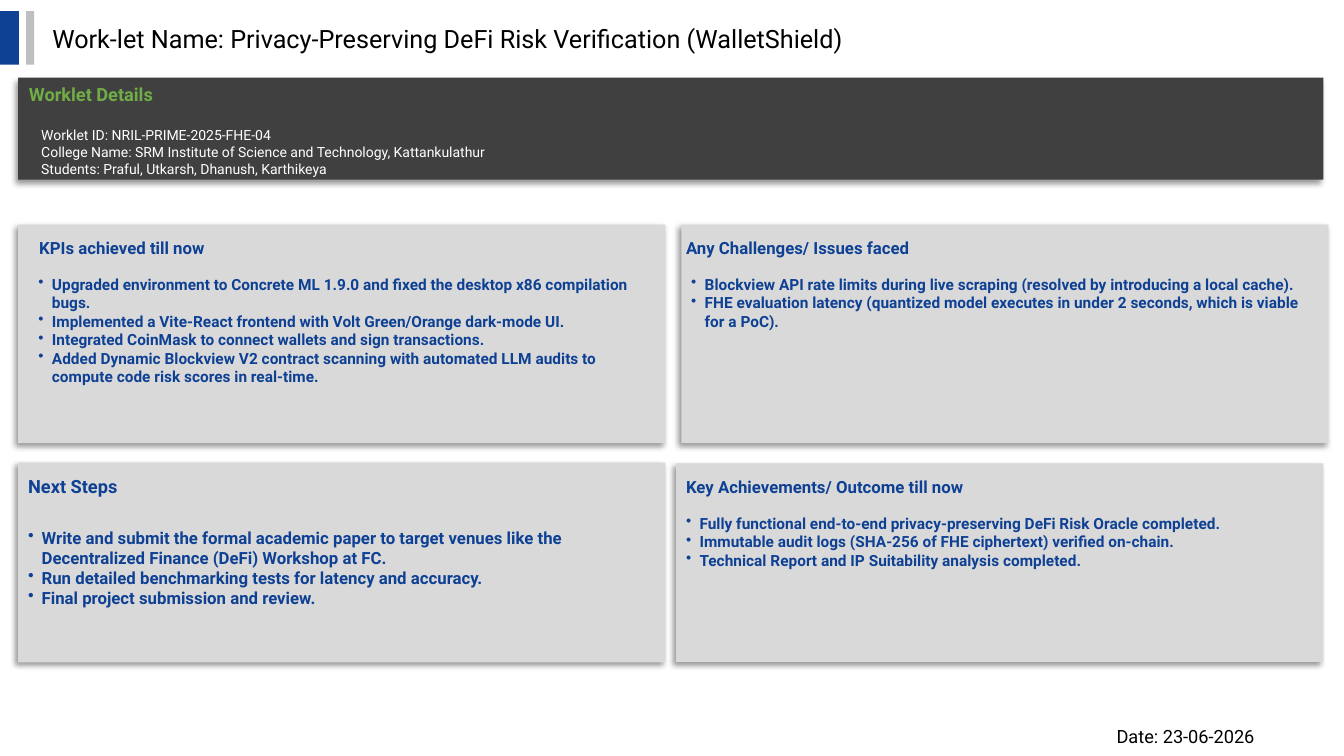
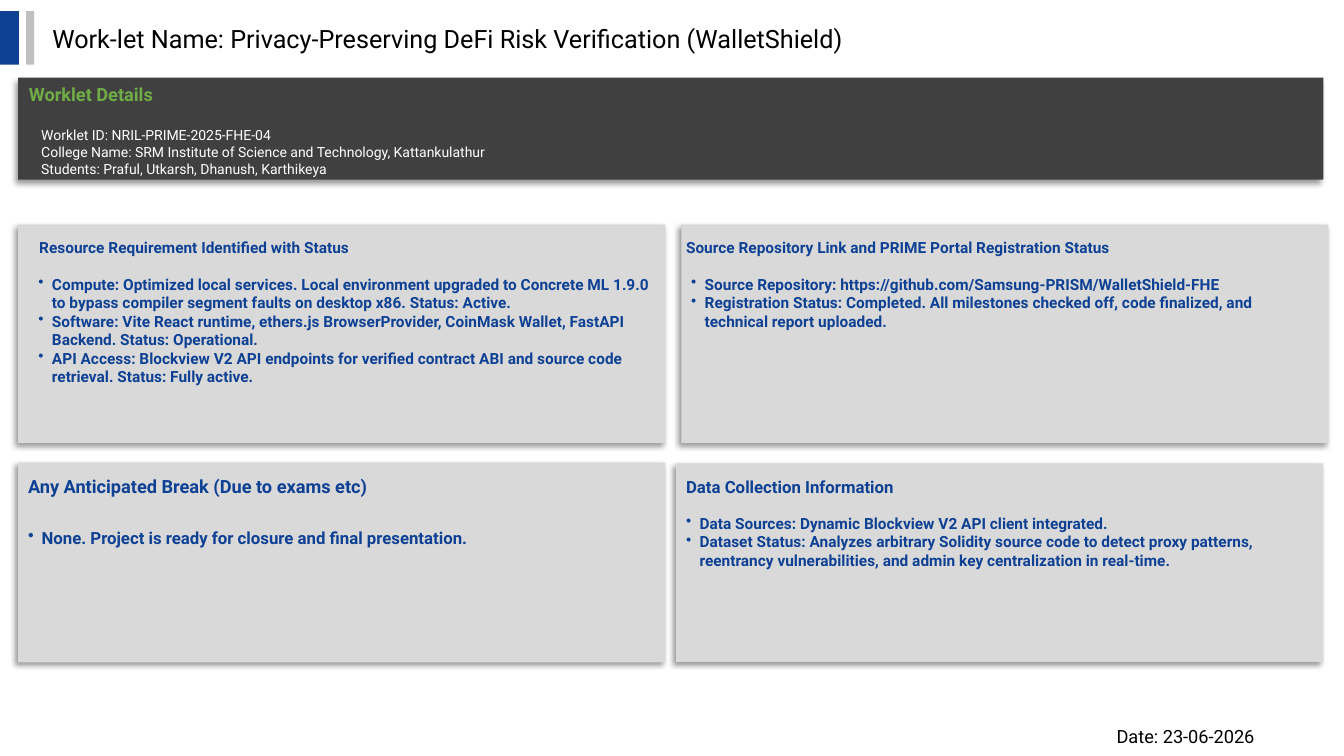
from typing import NamedTuple

from lxml.etree import SubElement
from pptx import Presentation
from pptx.dml.color import RGBColor
from pptx.enum.shapes import MSO_SHAPE
from pptx.enum.text import MSO_ANCHOR as Anchor
from pptx.oxml.ns import qn
from pptx.util import Cm, Pt

COLORS = {
    "blue": "0E4094",
    "silver": "BFBFBF",
    "charcoal": "404040",
    "card": "D9D9D9",
    "green": "70AD47",
    "white": "FFFFFF",
    "black": "000000",
}
FONT = "Roboto"
HANGING = Cm(0.34)

TITLE = "Work-let Name: Privacy-Preserving DeFi Risk Verification (WalletShield)"
DETAILS = (
    "Worklet ID: NRIL-PRIME-2025-FHE-04",
    "College Name: SRM Institute of Science and Technology, Kattankulathur",
    "Students: Praful, Utkarsh, Dhanush, Karthikeya",
)
DATE = "Date: 23-06-2026"


class Box(NamedTuple):
    left: float
    top: float
    width: float
    height: float


class Style(NamedTuple):
    size: float
    color: str
    bold: bool = False
    anchor: Anchor = Anchor.TOP
    bulleted: bool = False


class Slot(NamedTuple):
    card: Box
    heading: Box
    body_left: float = 0.25
    body_top: float = 1.27
    body_size: float = 11


class Topic(NamedTuple):
    heading: str
    size: float
    points: tuple[str, ...]


CARD_WIDTH = 16.31
HEADING_WIDTH = 15.9
HEADING_HEIGHT = 1.02
SLOTS = (
    Slot(Box(0.46, 5.66, CARD_WIDTH, 5.51),
         Box(0.74, 5.87, HEADING_WIDTH, HEADING_HEIGHT), body_left=0.51),
    Slot(Box(17.17, 5.66, CARD_WIDTH, 5.51),
         Box(17.04, 5.87, HEADING_WIDTH, HEADING_HEIGHT)),
    Slot(Box(0.46, 11.66, CARD_WIDTH, 5.03),
         Box(0.46, 11.84, HEADING_WIDTH, HEADING_HEIGHT), body_top=1.63, body_size=12),
    Slot(Box(17.04, 11.68, CARD_WIDTH, 5.0),
         Box(17.04, 11.89, HEADING_WIDTH, HEADING_HEIGHT)),
)

REPORTS = (
    (
        Topic("KPIs achieved till now", 12, (
            "Upgraded environment to Concrete ML 1.9.0 and fixed the desktop x86 compilation bugs.",
            "Implemented a Vite-React frontend with Volt Green/Orange dark-mode UI.",
            "Integrated CoinMask to connect wallets and sign transactions.",
            "Added Dynamic Blockview V2 contract scanning with automated LLM audits to "
            "compute code risk scores in real-time.",
        )),
        Topic("Any Challenges/ Issues faced", 12, (
            "Blockview API rate limits during live scraping (resolved by introducing a local cache).",
            "FHE evaluation latency (quantized model executes in under 2 seconds, "
            "which is viable for a PoC).",
        )),
        Topic("Next Steps", 13, (
            "Write and submit the formal academic paper to target venues like the "
            "Decentralized Finance (DeFi) Workshop at FC.",
            "Run detailed benchmarking tests for latency and accuracy.",
            "Final project submission and review.",
        )),
        Topic("Key Achievements/ Outcome till now", 12, (
            "Fully functional end-to-end privacy-preserving DeFi Risk Oracle completed.",
            "Immutable audit logs (SHA-256 of FHE ciphertext) verified on-chain.",
            "Technical Report and IP Suitability analysis completed.",
        )),
    ),
    (
        Topic("Resource Requirement Identified with Status", 11, (
            "Compute: Optimized local services. Local environment upgraded to Concrete ML 1.9.0 "
            "to bypass compiler segment faults on desktop x86. Status: Active.",
            "Software: Vite React runtime, ethers.js BrowserProvider, CoinMask Wallet, FastAPI "
            "Backend. Status: Operational.",
            "API Access: Blockview V2 API endpoints for verified contract ABI and source code "
            "retrieval. Status: Fully active.",
        )),
        Topic("Source Repository Link and PRIME Portal Registration Status", 11, (
            "Source Repository: https://github.com/Samsung-PRISM/WalletShield-FHE",
            "Registration Status: Completed. All milestones checked off, code finalized, and "
            "technical report uploaded.",
        )),
        Topic("Any Anticipated Break (Due to exams etc)", 13, (
            "None. Project is ready for closure and final presentation.",
        )),
        Topic("Data Collection Information", 12, (
            "Data Sources: Dynamic Blockview V2 API client integrated.",
            "Dataset Status: Analyzes arbitrary Solidity source code to detect proxy patterns, "
            "reentrancy vulnerabilities, and admin key centralization in real-time.",
        )),
    ),
)


def lengths(box: Box) -> list[Cm]:
    return [Cm(value) for value in box]


def add_shadow(panel) -> None:
    effects = panel.element.spPr.find(qn("a:effectLst"))
    outer = SubElement(effects, qn("a:outerShdw"), blurRad=str(Pt(4)), dist=str(Pt(3)),
                       dir=str(135 * 60000), algn="tr", rotWithShape="0")
    tint = SubElement(outer, qn("a:srgbClr"), val=COLORS["black"])
    SubElement(tint, qn("a:alpha"), val="40000")


def add_panel(slide, box: Box, color: str, raised: bool = False):
    panel = slide.shapes.add_shape(MSO_SHAPE.RECTANGLE, *lengths(box))
    panel.fill.solid()
    panel.fill.fore_color.rgb = RGBColor.from_string(COLORS[color])
    panel.line.fill.background()
    panel.shadow.inherit = False
    if raised:
        add_shadow(panel)
    return panel


def add_bullet(paragraph) -> None:
    properties = paragraph._p.get_or_add_pPr()
    properties.set("marL", str(HANGING))
    properties.set("indent", str(-HANGING))
    SubElement(properties, qn("a:buChar"), char="•")


def write(frame, lines: tuple[str, ...], style: Style) -> None:
    frame.word_wrap = True
    frame.vertical_anchor = style.anchor
    font_values = {"name": FONT, "size": Pt(style.size), "bold": style.bold}
    for index, line in enumerate(lines):
        paragraph = frame.add_paragraph() if index else frame.paragraphs[0]
        paragraph.alignment = 1
        if style.bulleted:
            add_bullet(paragraph)
        run = paragraph.add_run()
        run.text = line
        for attribute, value in font_values.items():
            setattr(run.font, attribute, value)
        run.font.color.rgb = RGBColor.from_string(COLORS[style.color])


def add_text(slide, box: Box, lines: tuple[str, ...], style: Style) -> None:
    write(slide.shapes.add_textbox(*lengths(box)).text_frame, lines, style)


def add_frame(slide) -> None:
    add_panel(slide, Box(0.46, 1.96, 32.89, 2.57), "charcoal", raised=True)
    add_panel(slide, Box(0, 0.28, 0.48, 1.35), "blue")
    add_panel(slide, Box(0.66, 0.28, 0.2, 1.35), "silver")
    add_text(slide, Box(1.07, 0.41, 27.84, 1.12), (TITLE,),
             Style(18, "black", anchor=Anchor.MIDDLE))
    add_text(slide, Box(0.48, 1.98, 6.1, 1.02), ("Worklet Details",),
             Style(13, "green", bold=True))
    add_text(slide, Box(0.79, 3.07, 31.75, 1.4), DETAILS, Style(10, "white"))
    add_text(slide, Box(27.89, 18.03, 5.97, 1.02), (DATE,),
             Style(13, "black", anchor=Anchor.MIDDLE))


def add_topic(slide, slot: Slot, topic: Topic) -> None:
    body = add_panel(slide, slot.card, "card", raised=True).text_frame
    margins = {"margin_left": Cm(slot.body_left), "margin_top": Cm(slot.body_top)}
    for attribute, value in margins.items():
        setattr(body, attribute, value)
    write(body, topic.points, Style(slot.body_size, "blue", bold=True, bulleted=True))
    add_text(slide, slot.heading, (topic.heading,), Style(topic.size, "blue", bold=True))


def main() -> None:
    deck = Presentation()
    deck.slide_width, deck.slide_height = Cm(33.87), Cm(19.05)
    for topics in REPORTS:
        slide = deck.slides.add_slide(deck.slide_layouts[6])
        add_frame(slide)
        for slot, topic in zip(SLOTS, topics):
            add_topic(slide, slot, topic)
    deck.save("out.pptx")


if __name__ == "__main__":
    main()
